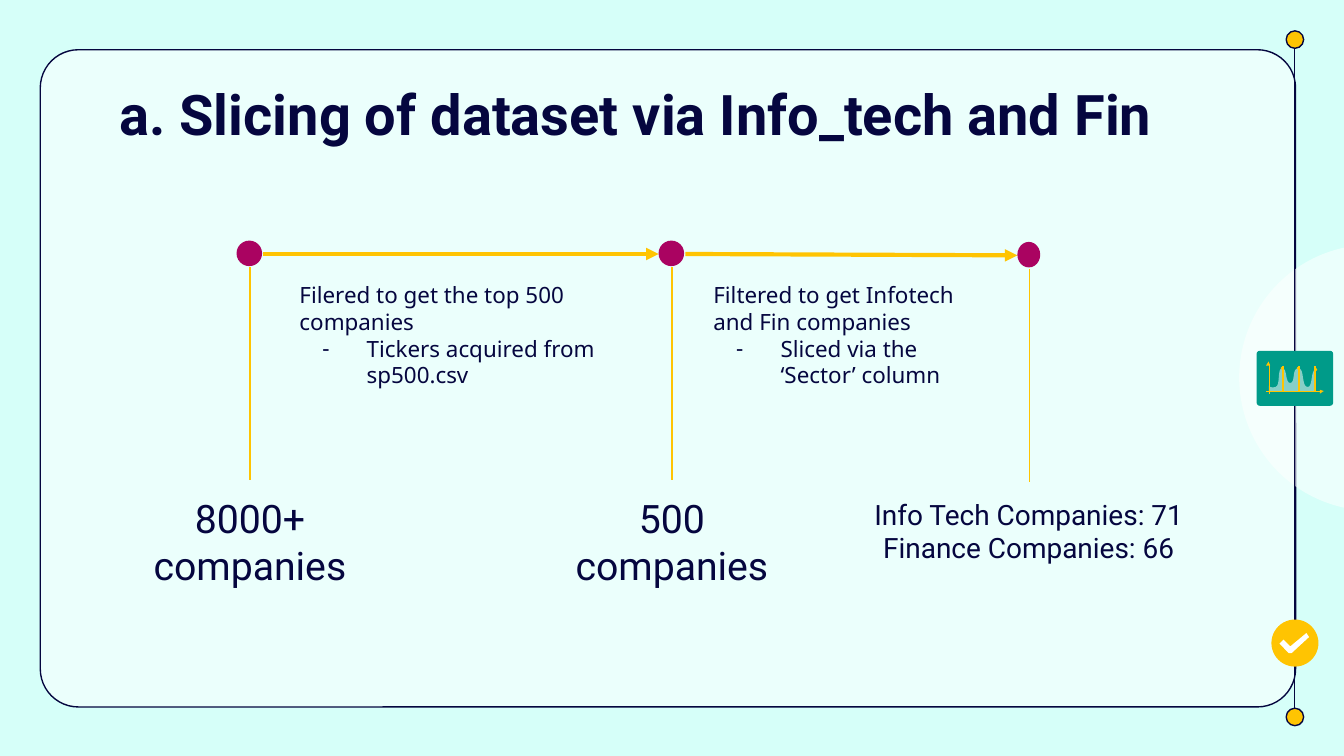
from lxml.etree import SubElement
from pptx import Presentation
from pptx.dml.color import RGBColor
from pptx.enum.shapes import MSO_CONNECTOR as LINK, MSO_SHAPE as FORM
from pptx.enum.text import MSO_ANCHOR as ANCHOR, PP_ALIGN as ALIGN
from pptx.oxml.ns import qn
from pptx.util import Inches, Pt

MINT = RGBColor(0xD6, 0xFF, 0xF9)
WHITE = RGBColor(0xFF, 0xFF, 0xFF)
NAVY = RGBColor(0x05, 0x06, 0x3F)
GOLD = RGBColor(0xFF, 0xC4, 0x02)
TEAL = RGBColor(0x00, 0x9B, 0x89)
PLUM = RGBColor(0xAA, 0x03, 0x61)

deck = Presentation()
deck.slide_width = Inches(10)
deck.slide_height = Inches(10) * 9 // 16
slide = deck.slides.add_slide(deck.slide_layouts[6])
slide.background.fill.solid()
slide.background.fill.fore_color.rgb = MINT
shapes = slide.shapes


def paint(shape, fill, edge=None, alpha=None):
    shape.shadow.inherit = False
    shape.fill.solid()
    shape.fill.fore_color.rgb = fill
    if alpha:
        tint = shape.fill._xPr.find(qn("a:solidFill"))[0]
        SubElement(tint, qn("a:alpha")).set("val", str(alpha * 1000))
    if edge:
        shape.line.color.rgb = edge
        shape.line.width = Pt(0.75)
    else:
        shape.line.fill.background()


def link(x1, y1, x2, y2, color, width, arrow=False):
    line = shapes.add_connector(LINK.STRAIGHT, Inches(x1), Inches(y1), Inches(x2), Inches(y2))
    line.line.color.rgb = color
    line.line.width = Pt(width)
    if arrow:
        SubElement(line.line._get_or_add_ln(), qn("a:tailEnd")).set("type", "triangle")
    SubElement(line._element.spPr, qn("a:effectLst"))


frame = [
    (FORM.ROUNDED_RECTANGLE, 0.3, 0.37, 9.34, 4.89, WHITE, NAVY, 53, 0.058),
    (FORM.OVAL, 9.22, 1.82, 1.98, 1.98, WHITE, None, 53, None),
    (FORM.OVAL, 9.57, 0.23, 0.13, 0.13, GOLD, NAVY, None, None),
    (FORM.OVAL, 9.57, 5.27, 0.13, 0.13, GOLD, NAVY, None, None),
    (FORM.ROUNDED_RECTANGLE, 9.35, 2.61, 0.57, 0.41, TEAL, None, None, 0.06),
    (FORM.OVAL, 9.46, 4.61, 0.35, 0.35, GOLD, None, None, None),
]
for form, x, y, w, h, fill, edge, alpha, curve in frame:
    if fill == TEAL:
        link(9.63, 0.36, 9.63, 5.27, NAVY, 0.75)
    shape = shapes.add_shape(form, Inches(x), Inches(y), Inches(w), Inches(h))
    paint(shape, fill, edge, alpha)
    if curve:
        shape.adjustments[0] = curve

knots = [
    (9.44, 2.87), (9.44, 2.87), (9.45, 2.89), (9.49, 2.88),
    (9.53, 2.87), (9.5, 2.74), (9.54, 2.74), (9.58, 2.74),
    (9.56, 2.85), (9.6, 2.85), (9.64, 2.85), (9.61, 2.74),
    (9.66, 2.74), (9.71, 2.74), (9.68, 2.88), (9.73, 2.88),
    (9.77, 2.88), (9.75, 2.75), (9.79, 2.75),
]
wave = [knots[0]]
for i in range(0, len(knots) - 1, 3):
    for step in range(1, 9):
        t = step / 8
        mix = ((1 - t) ** 3, 3 * t * (1 - t) ** 2, 3 * t * t * (1 - t), t ** 3)
        wave.append(tuple(sum(m * p[k] for m, p in zip(mix, knots[i:i + 4])) for k in (0, 1)))
wave += [(9.79, 2.91), (9.44, 2.91)]

tick = [(9.52, 4.79), (9.55, 4.76), (9.6, 4.81), (9.72, 4.71), (9.74, 4.74), (9.61, 4.86), (9.59, 4.86)]
icons = [(wave, WHITE, 53)]
for x, y, w, h in [
    (9.54, 2.72, 0.01, 0.2), (9.66, 2.72, 0.01, 0.2), (9.78, 2.72, 0.01, 0.2),
    (9.44, 2.71, 0.01, 0.22), (9.42, 2.91, 0.4, 0.01),
]:
    icons.append(([(x, y), (x + w, y), (x + w, y + h), (x, y + h)], GOLD, None))
icons += [
    ([(9.42, 2.72), (9.44, 2.69), (9.45, 2.72)], GOLD, None),
    ([(9.82, 2.9), (9.85, 2.91), (9.82, 2.93)], GOLD, None),
    (tick, WHITE, None),
]
for points, fill, alpha in icons:
    pen = shapes.build_freeform(Inches(points[0][0]), Inches(points[0][1]), scale=1.0)
    pen.add_line_segments([(Inches(x), Inches(y)) for x, y in points[1:]], close=True)
    paint(pen.convert_to_shape(), fill, None, alpha)

for x, y, w, h, fill in [
    (9.53, 2.73, 0.02, 0.02, GOLD), (9.65, 2.73, 0.02, 0.02, GOLD), (9.78, 2.74, 0.02, 0.02, GOLD),
    (1.76, 1.79, 0.19, 0.19, PLUM), (4.9, 1.79, 0.19, 0.19, PLUM), (7.57, 1.8, 0.17, 0.19, PLUM),
]:
    dot = shapes.add_shape(FORM.OVAL, Inches(x), Inches(y), Inches(w), Inches(h))
    paint(dot, fill)

low, top, mid = ANCHOR.BOTTOM, ANCHOR.TOP, ALIGN.CENTER
texts = [
    (0.87, 3.57, 1.98, 0.91, "Roboto", 21, low, mid, ["8000+ companies"]),
    (2.13, 1.99, 2.48, 1.01, "Noto Sans", 12, top, ALIGN.LEFT,
     ["Filered to get the top 500 companies", "Tickers acquired from sp500.csv"]),
    (4.01, 3.57, 1.98, 0.91, "Roboto", 21, low, mid, ["500 companies"]),
    (6.04, 3.59, 3.23, 0.71, "Roboto", 15, low, mid,
     ["Info Tech Companies: 71", "Finance Companies: 66"]),
    (5.21, 1.99, 2.24, 1.01, "Noto Sans", 12, top, ALIGN.LEFT,
     ["Filtered to get Infotech and Fin companies", "Sliced via the ‘Sector’ column"]),
    (0.79, 0.49, 8.43, 0.63, "Roboto", 30, top, ALIGN.LEFT,
     ["a. Slicing of dataset via Info_tech and Fin"]),
]
for x, y, w, h, font, size, anchor, align, lines in texts:
    box = shapes.add_textbox(Inches(x), Inches(y), Inches(w), Inches(h)).text_frame
    box.word_wrap = True
    box.vertical_anchor = anchor
    box.margin_left = box.margin_right = box.margin_top = box.margin_bottom = Inches(0.1)
    for i, words in enumerate(lines):
        para = box.add_paragraph() if i else box.paragraphs[0]
        para.alignment = align
        run = para.add_run()
        run.text = words
        run.font.name = font
        run.font.size = Pt(size)
        run.font.bold = size == 30
        run.font.color.rgb = NAVY
        if i and align == ALIGN.LEFT:
            props = para._p.get_or_add_pPr()
            props.set("marL", str(Inches(0.5)))
            props.set("indent", str(Inches(-0.33)))
            tint = SubElement(props, qn("a:buClr"))
            SubElement(tint, qn("a:srgbClr")).set("val", str(NAVY))
            SubElement(props, qn("a:buFont")).set("typeface", font)
            SubElement(props, qn("a:buChar")).set("char", "-")

link(1.96, 1.89, 4.9, 1.89, GOLD, 2.25, True)
link(5.1, 1.89, 7.57, 1.9, GOLD, 2.25, True)
for x, y, end in [(1.86, 1.99, 3.57), (5, 1.99, 3.57), (7.66, 2, 3.59)]:
    link(x, y, x, end, GOLD, 0.75)

deck.save("out.pptx")
